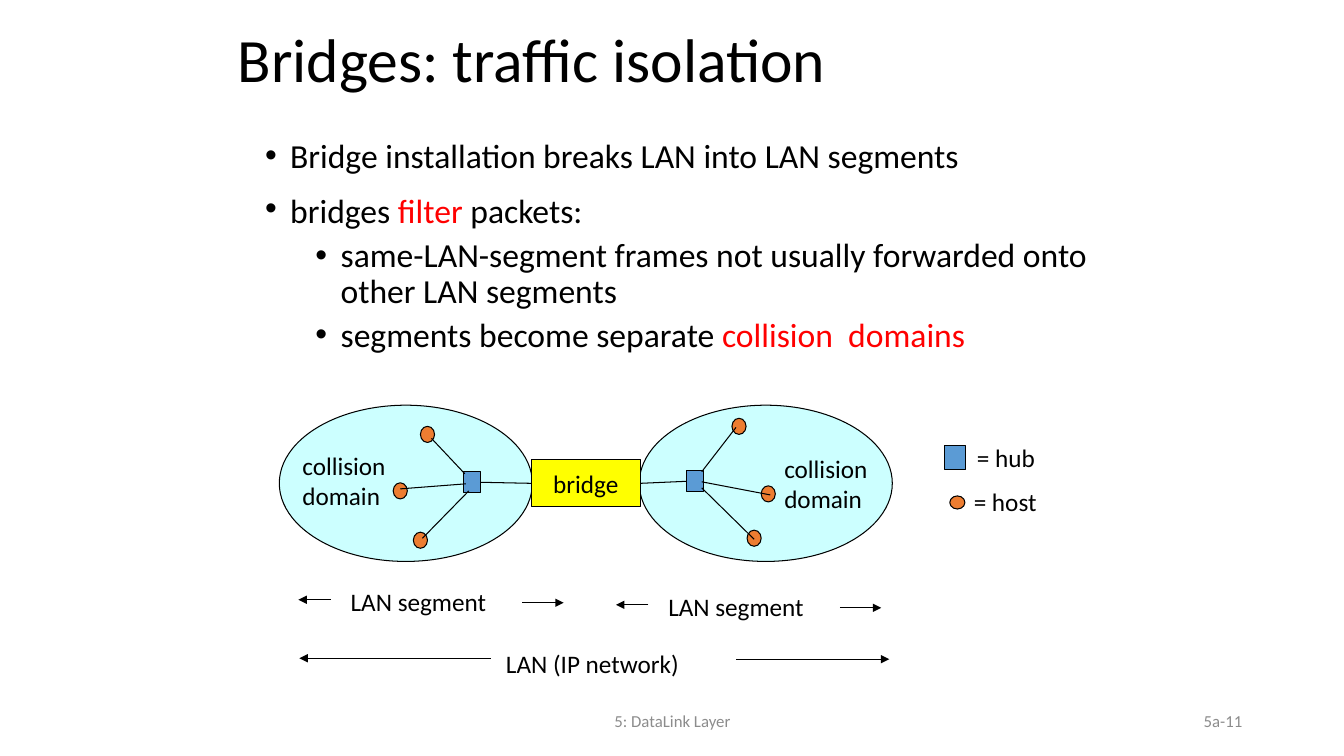
from lxml.etree import SubElement
from pptx import Presentation
from pptx.dml.color import RGBColor
from pptx.enum.shapes import MSO_CONNECTOR, MSO_SHAPE
from pptx.enum.text import MSO_ANCHOR as ANCHOR, PP_ALIGN as ALIGN
from pptx.oxml.ns import qn
from pptx.util import Inches, Pt

BLACK = RGBColor(0x00, 0x00, 0x00)
GRAY = RGBColor(0x8C, 0x8C, 0x8C)
RED = RGBColor(0xFF, 0x00, 0x00)
CYAN = RGBColor(0xCC, 0xFF, 0xFF)
YELLOW = RGBColor(0xFF, 0xFF, 0x00)
BLUE = RGBColor(0x5B, 0x9B, 0xD5)
ORANGE = RGBColor(0xED, 0x7D, 0x31)
FONT = "Calibri"

# Each bullet: level, then runs of (text, colour, size)
BULLETS = [
    (0, [("Bridge installation breaks LAN into LAN segments", BLACK, 24)]),
    (0, [("bridges ", BLACK, 24), ("filter", RED, 24),
         (" packets:", BLACK, 24), (" ", BLACK, 28)]),
    (1, [("same-LAN-segment frames not usually forwarded onto "
          "other LAN segments", BLACK, 24)]),
    (1, [("segments become separate ", BLACK, 24),
         ("collision  domains", RED, 24)]),
]
DOMAIN_SIZE = (2.51, 1.55)
HUB_SIZE = (0.17, 0.21)
HOST_SIZE = (0.14, 0.16)
BRIDGE_BOX = (5.27, 4.56, 1.08, 0.47)
# Each host: its corner, then the two ends of its cable
DOMAINS = [
    {"at": (2.77, 4.02), "hub": (4.6, 4.68), "label": (2.9, 4.42),
     "hub_side": 3, "bridge_side": 1,
     "hosts": [((4.17, 4.23), (4.61, 4.7), (4.28, 4.35)),
               ((3.9, 4.79), (4.62, 4.8), (3.97, 4.85)),
               ((4.1, 5.28), (4.65, 4.87), (4.19, 5.34))]},
    {"at": (6.34, 4.02), "hub": (6.81, 4.67), "label": (7.68, 4.45),
     "hub_side": 1, "bridge_side": 3,
     "hosts": [((7.26, 4.15), (6.96, 4.68), (7.3, 4.24)),
               ((7.55, 4.82), (6.96, 4.78), (7.64, 4.91)),
               ((7.41, 5.26), (6.96, 4.84), (7.48, 5.35))]},
]
LEGEND = [
    (MSO_SHAPE.RECTANGLE, (9.37, 4.42, 0.21, 0.24), BLUE,
     "= hub", (9.59, 4.34, 0.79, 0.4)),
    (MSO_SHAPE.OVAL, (9.42, 4.92, 0.15, 0.13), ORANGE,
     "= host", (9.56, 4.78, 0.83, 0.4)),
]
# Each extent: label, its box, left arrow, right arrow
EXTENTS = [("LAN (IP network)", (4.92, 6.38, 1.94, 0.4),
            ((4.87, 6.53), (2.97, 6.53)), ((7.3, 6.54), (8.82, 6.54)))]
for x, y in ((2.96, 5.77), (6.11, 5.82)):
    EXTENTS.append(("LAN segment", (x + 0.42, y, 1.56, 0.4),
                    ((x + 0.32, y + 0.18), (x, y + 0.18)),
                    ((x + 2.22, y + 0.21), (x + 2.63, y + 0.21))))

prs = Presentation()
prs.slide_width, prs.slide_height = Inches(13.33), Inches(7.5)
shapes = prs.slides.add_slide(prs.slide_layouts[6]).shapes


def add_run(p, text, color, size):
    r = p.add_run()
    r.text = text
    r.font.name, r.font.size = FONT, Pt(size)
    r.font.color.rgb = color


def write(tf, text, size=18, color=BLACK, align=ALIGN.LEFT,
          anchor=ANCHOR.TOP, wrap=False, spacing=None):
    """Fill a text frame, one paragraph for each line of text."""
    tf.word_wrap, tf.vertical_anchor = wrap, anchor
    for i, line in enumerate(text.split("\n")):
        p = tf.add_paragraph() if i else tf.paragraphs[0]
        p.alignment, p.line_spacing = align, spacing
        add_run(p, line, color, size)


def add_text(box, text, **fmt):
    tf = shapes.add_textbox(*map(Inches, box)).text_frame
    write(tf, text, **fmt)


def add_bullets(box):
    tf = shapes.add_textbox(*map(Inches, box)).text_frame
    tf.word_wrap = True
    for i, (level, runs) in enumerate(BULLETS):
        p = tf.add_paragraph() if i else tf.paragraphs[0]
        p.level, p.line_spacing = level, 0.9
        p.space_before = Pt((5 if level else 10) if i else 0)
        pPr = p._p.get_or_add_pPr()
        pPr.set("marL", str(Inches(0.25 + 0.5 * level)))
        pPr.set("indent", str(Inches(-0.25)))
        SubElement(pPr, qn("a:buFont"), typeface="Arial")
        SubElement(pPr, qn("a:buChar"), char="•")
        for run in runs:
            add_run(p, *run)


def add_outlined(kind, box, fill):
    sp = shapes.add_shape(kind, *map(Inches, box))
    sp.shadow.inherit = False
    sp.fill.solid()
    sp.fill.fore_color.rgb = fill
    sp.line.color.rgb, sp.line.width = BLACK, Pt(0.75)
    return sp


def add_line(start=(0, 0), end=(0, 0), arrow=False):
    line = shapes.add_connector(MSO_CONNECTOR.STRAIGHT,
                                *map(Inches, start + end))
    line.line.color.rgb, line.line.width = BLACK, Pt(0.75)
    if arrow:
        SubElement(line.line._get_or_add_ln(), qn("a:tailEnd"),
                   type="triangle")
    SubElement(line._element.spPr, qn("a:effectLst"))
    return line


FOOTER = dict(size=12, color=GRAY, anchor=ANCHOR.MIDDLE, wrap=True)
add_text((4.42, 6.95, 4.5, 0.4), "5: DataLink Layer",
         align=ALIGN.CENTER, **FOOTER)
add_text((9.42, 6.95, 3, 0.4), "5a-11", align=ALIGN.RIGHT, **FOOTER)
add_text((2.26, 0, 8.5, 1.25), "Bridges: traffic isolation", size=44,
         anchor=ANCHOR.MIDDLE, wrap=True, spacing=0.9)
add_bullets((2.53, 1.33, 8.62, 2.57))

for domain in DOMAINS:
    add_outlined(MSO_SHAPE.OVAL, domain["at"] + DOMAIN_SIZE, CYAN)
bridge = add_outlined(MSO_SHAPE.RECTANGLE, BRIDGE_BOX, YELLOW)
write(bridge.text_frame, "bridge", align=ALIGN.CENTER, anchor=ANCHOR.MIDDLE)

for domain in DOMAINS:
    hub = add_outlined(MSO_SHAPE.RECTANGLE, domain["hub"] + HUB_SIZE, BLUE)
    uplink = add_line()
    uplink.begin_connect(hub, domain["hub_side"])
    uplink.end_connect(bridge, domain["bridge_side"])
    for corner, start, end in domain["hosts"]:
        add_outlined(MSO_SHAPE.OVAL, corner + HOST_SIZE, ORANGE)
        add_line(start, end)
    add_text(domain["label"] + (1.09, 0.71), "collision\ndomain")

for kind, box, fill, text, text_box in LEGEND:
    add_outlined(kind, box, fill)
    add_text(text_box, text)

for text, box, left_arrow, right_arrow in EXTENTS:
    add_text(box, text)
    add_line(*left_arrow, arrow=True)
    add_line(*right_arrow, arrow=True)

prs.save("out.pptx")
